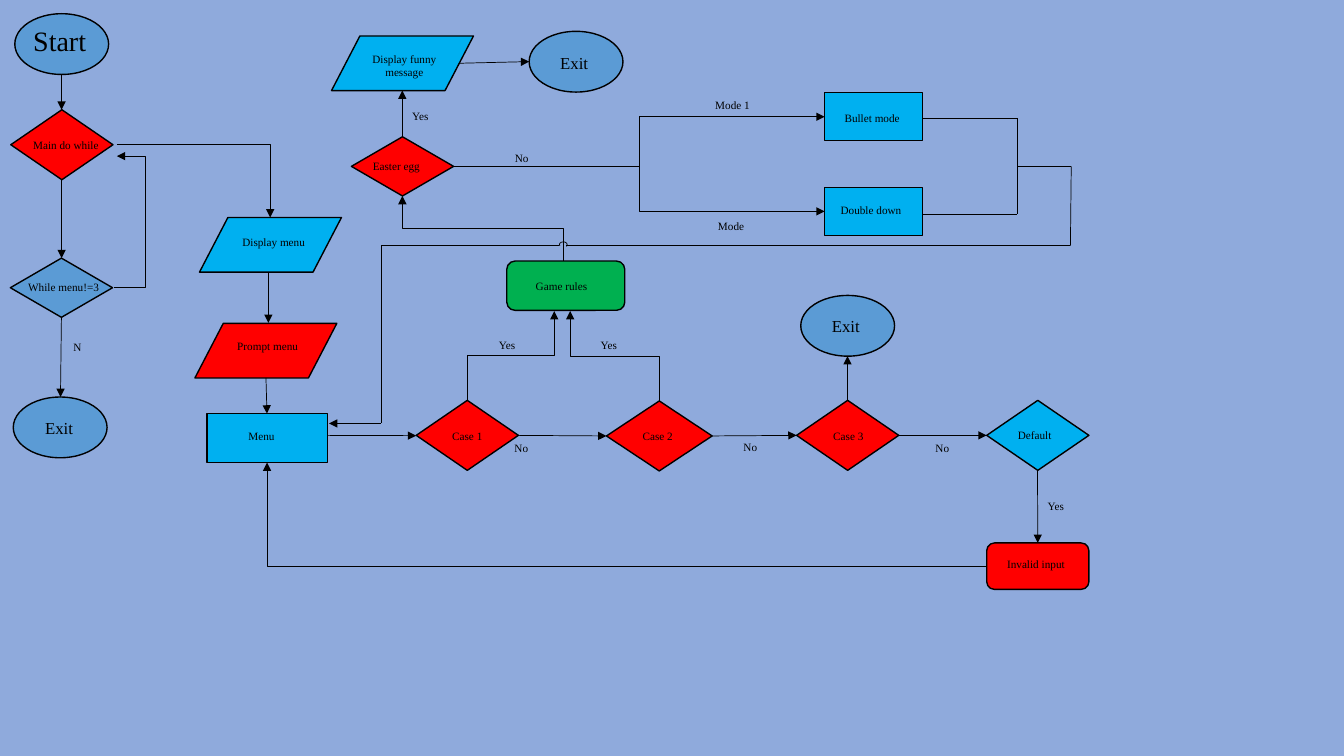
from pptx import Presentation
from pptx.dml.color import RGBColor
from pptx.enum.shapes import MSO_CONNECTOR as Route, MSO_SHAPE as Form
from pptx.enum.text import MSO_AUTO_SIZE as Fit, PP_ALIGN as Align
from pptx.oxml.ns import qn
from pptx.oxml.xmlchemy import OxmlElement
from pptx.util import Pt

BACKDROP = RGBColor(0x8F, 0xAA, 0xDC)
BLACK = RGBColor(0, 0, 0)
STEEL = RGBColor(0x5B, 0x9B, 0xD5)
SKY = RGBColor(0x00, 0xB0, 0xF0)
RED = RGBColor(0xFF, 0, 0)
GREEN = RGBColor(0x00, 0xB0, 0x50)
FONT = "Times New Roman"

STEP_GROUPS = [
    (Form.OVAL, 67, 43.4, [
        (10.6, 9.8, STEEL), (378, 22.4, STEEL), (572, 211, STEEL), (9.5, 283.6, STEEL)]),
    (Form.FLOWCHART_DECISION, 73, 50, [
        (7.7, 78.4, RED), (297.3, 286, RED), (569, 286, RED), (704.8, 286, SKY)]),
    (Form.FLOWCHART_DECISION, 75.5, 50, [(433.2, 286.4, RED)]),
    (Form.FLOWCHART_DECISION, 73, 42.3, [(251, 97.7, RED), (7.4, 184.4, STEEL)]),
    (Form.FLOWCHART_DATA, 101.4, 39, [
        (236.8, 25.7, SKY), (139.2, 231, RED), (142.5, 155.4, SKY)]),
    (Form.RECTANGLE, 86, 34.7, [(147.8, 295.5, SKY)]),
    (Form.RECTANGLE, 70, 34.2, [(589, 66.2, SKY), (589, 133.9, SKY)]),
    (Form.ROUNDED_RECTANGLE, 84.3, 35.2, [(362, 186.5, GREEN)]),
    (Form.ROUNDED_RECTANGLE, 73, 33.2, [(704.8, 387.8, RED)]),
]

LEFT_LABELS = [
    ("Start", 16.6, 13, 54, 20), ("Main do while", 16.6, 95, 67, 8),
    ("While menu!=3", 13, 196.6, 68.4, 8), ("N", 45.4, 239.8, 72, 8),
    ("Display menu", 166, 164.2, 85.7, 8), ("Prompt menu", 162.4, 238.5, 81.4, 8),
    ("Menu", 170.4, 303.3, 41, 8), ("Easter egg", 259.2, 110.4, 52, 8),
    ("Yes", 287.3, 74.7, 46, 8), ("Yes", 349.2, 238, 32, 8),
    ("Yes", 421.9, 238.3, 35, 8), ("Yes", 741.2, 353, 48, 8),
    ("No", 360.4, 312, 50, 8), ("No", 360.7 - 7.2 + 7.2 - 26.4 + 26.4, 104.6, 38, 8),
]

CENTRED_LABELS = [
    ("Case 1", 305.3, 303.3, 57, 8), ("Case 2", 439.6, 303.3, 60.5, 8),
    ("Case 3", 580.8, 303.3, 50.4, 8), ("Default", 708, 302.6, 62, 8),
    ("Game rules", 366.9, 196.2, 68.4, 8), ("Invalid input", 709, 394.7, 62, 8),
    ("Display funny message", 253.2, 33.8, 71.3, 8),
    ("Bullet mode", 588, 76, 70, 8), ("Double down", 592.3, 141.8, 59.8, 8),
    ("Mode 1", 492.2, 66.6, 62, 8), ("Mode", 491.2, 153, 62, 8),
    ("No", 509, 311.2, 54, 8), ("No", 653, 311.8, 40.3, 8),
    ("Exit", 391.4, 34, 37.4, 12), ("Exit", 566.4, 222, 75.6, 12),
    ("Exit", 23.5, 295.2, 37.4, 12),
]

ARROWS = [
    (44, 53, 44, 78.4), (44, 128.4, 44, 184.4), (43.9, 226.4, 43.2, 283.6),
    (191.7, 194.6, 191.7, 230.6), (190, 270, 190.7, 295.4),
    (233.8, 311, 297.3, 311.2), (370.3, 311, 433.2, 311.4),
    (508.6, 311.4, 569, 311), (642, 311, 704.8, 311),
    (287.4, 97.7, 287.4, 64.7), (605.4, 286, 605.4, 254.4),
    (741.1, 336, 741.3, 387.8), (327.8, 45.2, 378, 44),
    (272.3, 302.5, 235, 302.5),
]

RETURN_LINES = [
    (658.8, 84.4, 726.6, 84.4), (658.8, 153, 726.6, 153), (726.6, 84.4, 726.6, 153),
    (726.6, 118.8, 765.2, 118.8), (765.2, 118.8, 764.6, 175.4),
    (404.6, 175.4, 764.6, 175.4), (272.3, 175.4, 272.3, 302.5),
    (272.3, 175.2, 399.6, 175.2),
]

CORNERS = [(83.5, 103.4, 193, 155.4), (704.8, 404.6, 190.8, 330.4)]
SIDEWAYS_ELBOWS = [(324, 118.8, 589, 83.4), (324, 118.8, 589, 151)]
RISING_ELBOWS = [
    (333.8, 286, 395.9, 222.2), (470.9, 286.4, 407.3, 222.2), (402.4, 186.2, 287.4, 140)]
LOOP_BACK = (81.4, 205.6, 83.5, 111.6)
LOOP_BEND = 104.2


def add_step(slide, form, box, colour):
    """Add one filled flowchart step."""
    step = slide.shapes.add_shape(form, *map(Pt, box))
    step.shadow.inherit = False
    step.fill.solid()
    step.fill.fore_color.rgb = colour
    step.line.color.rgb = BLACK
    step.line.width = Pt(1)


def add_label(slide, text, x, y, width, size, align):
    """Add a caption that wraps within its width."""
    frame = slide.shapes.add_textbox(Pt(x), Pt(y), Pt(width), Pt(size * 1.2 + 7.2)).text_frame
    frame.word_wrap = True
    frame.auto_size = Fit.SHAPE_TO_FIT_TEXT
    paragraph = frame.paragraphs[0]
    paragraph.alignment = align
    run = paragraph.add_run()
    run.text = text
    run.font.name = FONT
    run.font.size = Pt(size)
    run.font.color.rgb = BLACK


def add_link(slide, ends, route=Route.STRAIGHT, arrow=True):
    """Connect two points, with an arrowhead if wanted."""
    link = slide.shapes.add_connector(route, *map(Pt, ends))
    link.line.color.rgb = BLACK
    link.line.width = Pt(0.5)
    if arrow:
        head = OxmlElement("a:tailEnd")
        head.set("type", "triangle")
        link.line._get_or_add_ln().append(head)
    properties = link._element.spPr
    properties.append(OxmlElement("a:effectLst"))
    return properties


def add_corner(slide, ends):
    """Connect two points with a single right-angled turn."""
    add_link(slide, ends, Route.ELBOW).find(qn("a:prstGeom")).set("prst", "bentConnector2")


def add_rising_elbow(slide, x1, y1, x2, y2):
    """Connect upwards, across and upwards again."""
    mid_x, mid_y = (x1 + x2) / 2, (y1 + y2) / 2
    half_rise, half_run = (y1 - y2) / 2, (x2 - x1) / 2
    ends = (mid_x - half_rise, mid_y - half_run, mid_x + half_rise, mid_y + half_run)
    properties = add_link(slide, ends, Route.ELBOW)
    properties.find(qn("a:xfrm")).set("rot", str(270 * 60000))


def add_loop(slide, ends, bend_x):
    """Connect two points through a turn beyond both of them."""
    geometry = add_link(slide, ends, Route.ELBOW).find(qn("a:prstGeom"))
    guide = OxmlElement("a:gd")
    guide.set("name", "adj1")
    guide.set("fmla", f"val {round((bend_x - ends[0]) / (ends[2] - ends[0]) * 100000)}")
    geometry.get_or_add_avLst().append(guide)


def add_line_hop(slide):
    """Add the small arc where the return line crosses another."""
    hop = slide.shapes.add_shape(Form.ARC, Pt(399.6), Pt(172.8), Pt(5.6), Pt(3.8))
    hop.shadow.inherit = False
    hop.adjustments[0] = 95.49
    hop.adjustments[1] = 18.18
    hop.fill.background()
    hop.line.color.rgb = BLACK
    hop.line.width = Pt(0.5)


def main():
    """Build the game flowchart."""
    deck = Presentation()
    deck.slide_width, deck.slide_height = Pt(960), Pt(540)
    slide = deck.slides.add_slide(deck.slide_layouts[6])
    slide.background.fill.solid()
    slide.background.fill.fore_color.rgb = BACKDROP
    for form, width, height, places in STEP_GROUPS:
        for x, y, colour in places:
            add_step(slide, form, (x, y, width, height), colour)
    for labels, align in ((LEFT_LABELS, Align.LEFT), (CENTRED_LABELS, Align.CENTER)):
        for label in labels:
            add_label(slide, *label, align)
    for ends in ARROWS:
        add_link(slide, ends)
    for ends in RETURN_LINES:
        add_link(slide, ends, arrow=False)
    for ends in SIDEWAYS_ELBOWS:
        add_link(slide, ends, Route.ELBOW)
    for ends in CORNERS:
        add_corner(slide, ends)
    for ends in RISING_ELBOWS:
        add_rising_elbow(slide, *ends)
    add_loop(slide, LOOP_BACK, LOOP_BEND)
    add_line_hop(slide)
    deck.save("out.pptx")


main()
